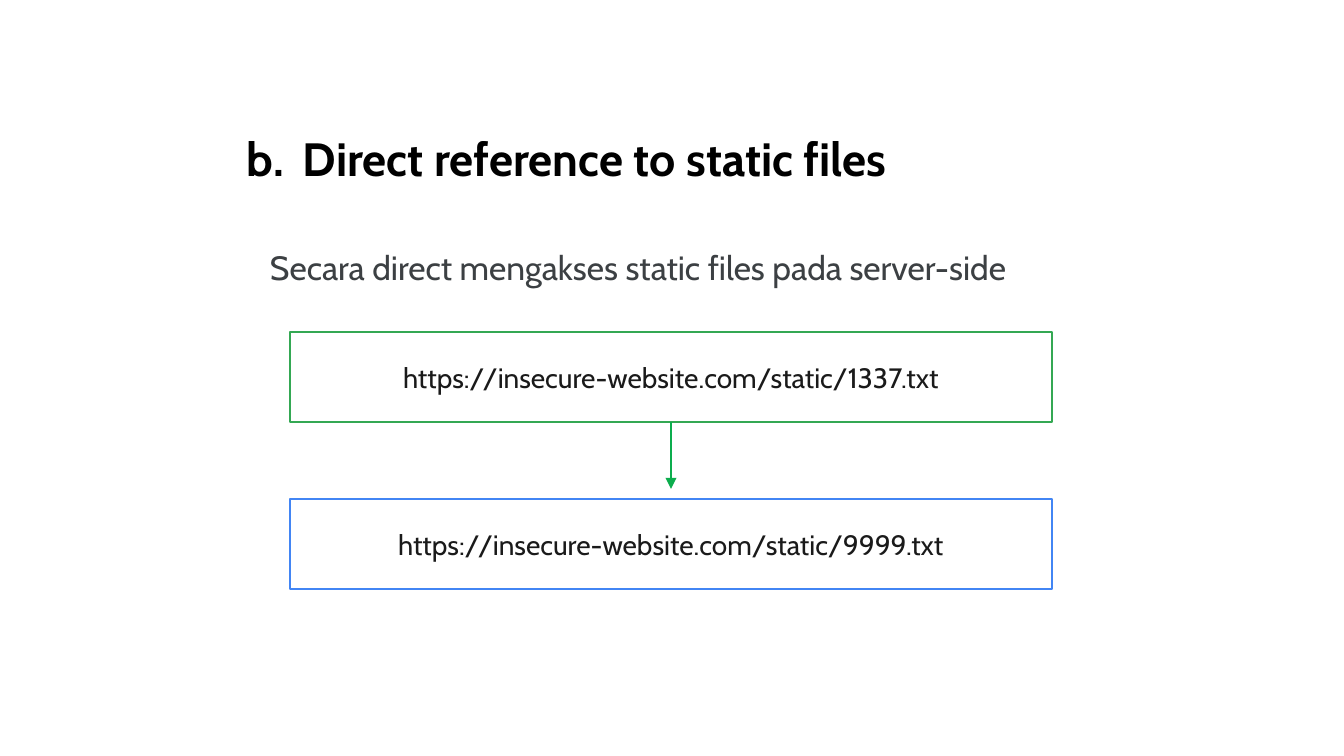
from dataclasses import dataclass

from lxml.etree import SubElement
from pptx import Presentation
from pptx.dml.color import RGBColor
from pptx.enum.shapes import MSO_CONNECTOR as Connector, MSO_SHAPE as Shape
from pptx.enum.text import MSO_ANCHOR as Anchor, MSO_AUTO_SIZE as AutoSize, PP_ALIGN as Align
from pptx.oxml.ns import qn
from pptx.shapes.autoshape import Shape as Box
from pptx.slide import Slide
from pptx.util import Emu, Pt

FONT = "Cabin"
BLACK = RGBColor(0x00, 0x00, 0x00)
WHITE = RGBColor(0xFF, 0xFF, 0xFF)
GRAY = RGBColor(0x3C, 0x40, 0x43)
INK = RGBColor(0x1A, 0x1A, 0x1A)
GREEN = RGBColor(0x34, 0xA8, 0x53)
BLUE = RGBColor(0x42, 0x85, 0xF4)
ARROW_GREEN = RGBColor(0x0C, 0xAD, 0x4D)

PX_PER_INCH = 134.4
BOX_LEFT, BOX_WIDTH, BOX_HEIGHT = 290, 762, 90
ARROW_END = 489
INSET = 13
LINE_WIDTH = Pt(1.5)


@dataclass(frozen=True)
class TextStyle:
    size: int
    color: RGBColor
    bold: bool = False


@dataclass(frozen=True)
class TextBlock:
    text: str
    left: int
    top: int
    width: int
    height: int
    style: TextStyle


@dataclass(frozen=True)
class UrlBox:
    text: str
    top: int
    outline: RGBColor


TITLE = TextBlock("Direct reference to static files", 223, 117, 856, 85, TextStyle(25, BLACK, True))
SUBTITLE = TextBlock("Secara direct mengakses static files pada server-side", 257, 228, 914, 67, TextStyle(18, GRAY))
URL_STYLE = TextStyle(15, INK)
URL_BOXES = (
    UrlBox("https://insecure-website.com/static/1337.txt", 332, GREEN),
    UrlBox("https://insecure-website.com/static/9999.txt", 499, BLUE),
)


def px(length: int) -> Emu:
    return Emu(round(length * 914400 / PX_PER_INCH))


def set_text(box: Box, text: str, style: TextStyle, inset: int) -> None:
    frame = box.text_frame
    frame.word_wrap = True
    frame.margin_left = frame.margin_right = px(inset)
    frame.margin_top = frame.margin_bottom = px(inset)
    para = frame.paragraphs[0]
    para.text = text
    for span in para.runs:
        span.font.name = FONT
        span.font.size = Pt(style.size)
        span.font.bold = style.bold
        span.font.color.rgb = style.color


def add_text(slide: Slide, block: TextBlock) -> Box:
    box = slide.shapes.add_textbox(px(block.left), px(block.top), px(block.width), px(block.height))
    set_text(box, block.text, block.style, INSET)
    return box


def number_title(box: Box) -> None:
    properties = box.text_frame.paragraphs[0]._p.get_or_add_pPr()
    properties.set("marL", str(px(67)))
    properties.set("indent", str(px(-56)))
    color = SubElement(properties, qn("a:buClr"))
    SubElement(color, qn("a:srgbClr"), val=str(BLACK))
    SubElement(properties, qn("a:buFont"), typeface=FONT)
    SubElement(properties, qn("a:buAutoNum"), type="alphaLcPeriod", startAt="2")


def add_url_box(slide: Slide, item: UrlBox) -> Box:
    box = slide.shapes.add_shape(
        Shape.ROUNDED_RECTANGLE, px(BOX_LEFT), px(item.top), px(BOX_WIDTH), px(BOX_HEIGHT)
    )
    box.adjustments[0] = 0
    box.shadow.inherit = False
    box.fill.solid()
    box.fill.fore_color.rgb = WHITE
    box.line.color.rgb = item.outline
    box.line.width = LINE_WIDTH
    set_text(box, item.text, URL_STYLE, 0)
    box.text_frame.vertical_anchor = Anchor.MIDDLE
    box.text_frame.paragraphs[0].alignment = Align.CENTER
    return box


def add_arrow(slide: Slide, source: Box) -> None:
    center = source.left + source.width // 2
    bottom = source.top + source.height
    arrow = slide.shapes.add_connector(Connector.STRAIGHT, center, bottom, center, px(ARROW_END))
    arrow.begin_connect(source, 2)
    arrow.line.color.rgb = ARROW_GREEN
    arrow.line.width = LINE_WIDTH
    SubElement(arrow.line._get_or_add_ln(), qn("a:tailEnd"), type="triangle")
    SubElement(arrow._element.spPr, qn("a:effectLst"))


def main() -> None:
    """Build the slide on direct references to static files."""
    deck = Presentation()
    deck.slide_width, deck.slide_height = px(1344), px(756)
    page = deck.slides.add_slide(deck.slide_layouts[6])

    number_title(add_text(page, TITLE))
    boxes = [add_url_box(page, item) for item in URL_BOXES]
    add_arrow(page, boxes[0])

    subtitle = add_text(page, SUBTITLE)
    subtitle.text_frame.auto_size = AutoSize.SHAPE_TO_FIT_TEXT
    para = subtitle.text_frame.paragraphs[0]
    para.line_spacing = 1.15
    para.space_after = Pt(12)

    deck.save("out.pptx")


if __name__ == "__main__":
    main()
